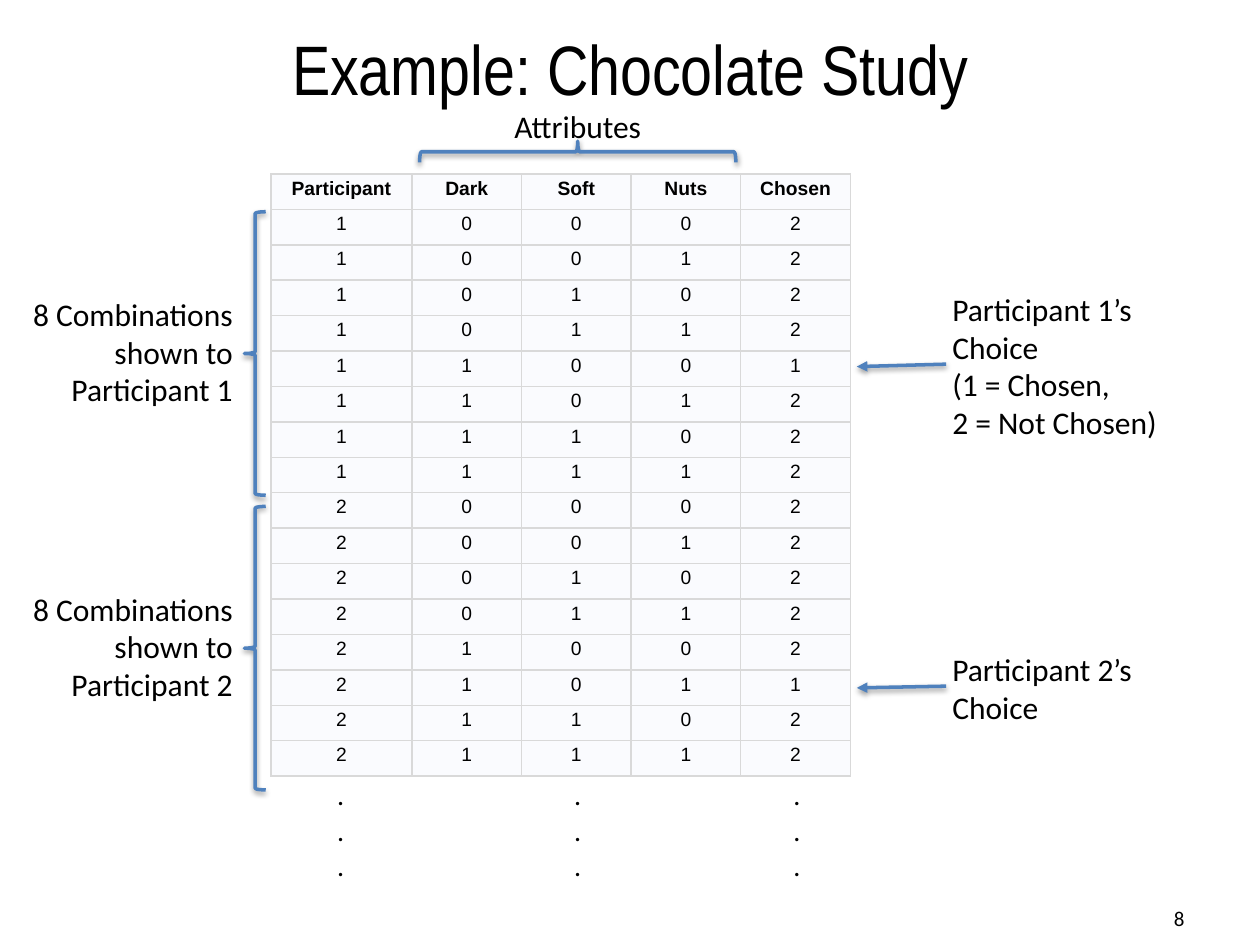
"""Build the chocolate study slide with its table of choices."""
from dataclasses import dataclass
from itertools import product

from lxml.etree import SubElement as Sub
from pptx import Presentation
from pptx.dml.color import RGBColor as Rgb
from pptx.enum.shapes import MSO_CONNECTOR as Link, MSO_SHAPE as Form
from pptx.enum.text import MSO_ANCHOR as Anchor, PP_ALIGN as Align
from pptx.oxml.ns import qn
from pptx.util import Pt


@dataclass(frozen=True)
class Theme:
    """Colours, fonts and type sizes."""
    ink: str = "000000"
    blue: str = "4F81BD"
    pale: str = "FAFBFE"
    grid: str = "D9D9D9"
    head: str = "Arial Narrow"
    body: str = "Calibri"
    data: str = "Arial"
    title: int = 40
    note: int = 18
    dot: int = 16
    page: int = 12
    cell: int = 11


@dataclass(frozen=True)
class Box:
    """A frame in points."""
    left: float
    top: float
    width: float
    height: float

    def frame(self) -> tuple:
        return Pt(self.left), Pt(self.top), Pt(self.width), Pt(self.height)


@dataclass(frozen=True)
class Note:
    """A text label with its frame and format."""
    text: str
    box: Box
    align: Align = Align.LEFT
    size: int = Theme.note
    space: float = 1.0
    anchor: Anchor = Anchor.TOP


@dataclass(frozen=True)
class Brace:
    """A brace with its turn in degrees."""
    box: Box
    turn: int = 0


@dataclass(frozen=True)
class Arrow:
    """An arrow that runs left from a note to the table."""
    start: float
    end: float


T = Theme()
HEADS = ("Participant", "Dark", "Soft", "Nuts", "Chosen")
WIDTHS = (80.64, 62.64, 62.64, 62.64, 62.64)
PICKS = {1: (1, 0, 0), 2: (1, 0, 1)}
ROW = 20.24
GRID = Box(154.8, 99.4, sum(WIDTHS), ROW * 17)
DOTS = "\n".join("...")

NOTES = [
    Note("8", Box(516.24, 510.5, 167.76, 28.8), Align.RIGHT, T.page,
         anchor=Anchor.MIDDLE),
    Note("Participant 1’s Choice\n(1 = Chosen,\n2 = Not Chosen)",
         Box(537.1, 162, 146.9, 94.3)),
    Note("Participant 2’s Choice", Box(537.1, 367.9, 121.7, 51.1)),
    Note("Attributes", Box(262.1, 57.6, 136.1, 28.8), Align.CENTER),
]
NOTES += [Note(f"8 Combinations shown to Participant {n}",
               Box(4, top, 136.1, 72.7), Align.RIGHT)
          for n, top in ((1, 164.9), (2, 333.4))]
NOTES += [Note(DOTS, Box(left, 439.2, 19.4, 49), Align.CENTER, T.dot, 1.07)
          for left in (185, 320.4, 445.7)]
BRACES = [Brace(Box(139.7, 121, 12.2, 162)),
          Brace(Box(139.7, 289.4, 12.2, 162)),
          Brace(Box(324, -3.6, 12.2, 180.7), 90)]
ARROWS = [Arrow(208.1, 209.5), Arrow(392.1, 393.1)]


def write(frame, text: str, *, font: str = T.body, size: int = T.note,
          bold: bool = False, align: Align = Align.LEFT,
          space: float = 1.0) -> None:
    """Fill a text frame, one paragraph to a line."""
    frame.text = text
    for para in frame.paragraphs:
        para.alignment = align
        para.line_spacing = space
        para.font.name = font
        para.font.size = Pt(size)
        para.font.bold = bold
        para.font.color.rgb = Rgb.from_string(T.ink)


def stroke(shape) -> None:
    """Give a shape the blue line and its soft shadow."""
    shape.line.color.rgb = Rgb.from_string(T.blue)
    shape.line.width = Pt(2)
    props = shape._element.spPr
    glow = Sub(Sub(props, qn("a:effectLst")), qn("a:outerShdw"),
               blurRad=str(Pt(3.1)), dist=str(Pt(1.6)), dir="5400000",
               rotWithShape="0")
    tint = Sub(glow, qn("a:srgbClr"), val=T.ink)
    Sub(tint, qn("a:alpha"), val="38000")


def label(slide, note: Note) -> None:
    """Draw a text label."""
    frame = slide.shapes.add_textbox(*note.box.frame()).text_frame
    frame.word_wrap = True
    frame.vertical_anchor = note.anchor
    write(frame, note.text, size=note.size, align=note.align,
          space=note.space)


def brace(slide, item: Brace) -> None:
    """Draw a brace."""
    shape = slide.shapes.add_shape(Form.LEFT_BRACE, *item.box.frame())
    shape.rotation = item.turn
    shape.fill.background()
    stroke(shape)


def arrow(slide, item: Arrow) -> None:
    """Draw an arrow with a triangle at the table end."""
    line = slide.shapes.add_connector(
        Link.STRAIGHT, Pt(540.7), Pt(item.start), Pt(489.6), Pt(item.end))
    stroke(line)
    Sub(line.line._get_or_add_ln(), qn("a:tailEnd"), type="triangle")


def paint(cell, text: str, bold: bool) -> None:
    """Format one table cell."""
    cell.margin_left = cell.margin_right = Pt(2.16)
    cell.margin_top = cell.margin_bottom = Pt(2.16)
    write(cell.text_frame, text, font=T.data, size=T.cell, bold=bold,
          align=Align.CENTER)
    props = cell._tc.get_or_add_tcPr()
    for side in "LRTB":
        edge = Sub(props, qn(f"a:ln{side}"), w=str(Pt(1)))
        Sub(Sub(edge, qn("a:solidFill")), qn("a:srgbClr"), val=T.grid)
    cell.fill.solid()
    cell.fill.fore_color.rgb = Rgb.from_string(T.pale)


def chart(slide) -> None:
    """Draw the table of all combinations and choices."""
    rows = [HEADS] + [(who, *mix, 1 if mix == pick else 2)
                      for who, pick in PICKS.items()
                      for mix in product((0, 1), repeat=3)]
    table = slide.shapes.add_table(len(rows), len(HEADS),
                                   *GRID.frame()).table
    table.first_row = table.horz_banding = False
    for col, width in zip(table.columns, WIDTHS):
        col.width = Pt(width)
    for r, row in enumerate(rows):
        table.rows[r].height = Pt(ROW)
        for c, value in enumerate(row):
            paint(table.cell(r, c), str(value), r == 0)


def main() -> None:
    """Build and save the slide."""
    deck = Presentation()
    deck.slide_width, deck.slide_height = Pt(720), Pt(540)
    slide = deck.slides.add_slide(deck.slide_layouts.get_by_name("Title Only"))
    title = slide.shapes.title
    title.left, title.top, title.width, title.height = Box(
        36, 0, 648, 77).frame()
    title.text_frame.vertical_anchor = Anchor.MIDDLE
    write(title.text_frame, "Example: Chocolate Study", font=T.head,
          size=T.title, align=Align.CENTER)
    chart(slide)
    for draw, items in ((label, NOTES), (arrow, ARROWS), (brace, BRACES)):
        for item in items:
            draw(slide, item)
    deck.save("out.pptx")


if __name__ == "__main__":
    main()
